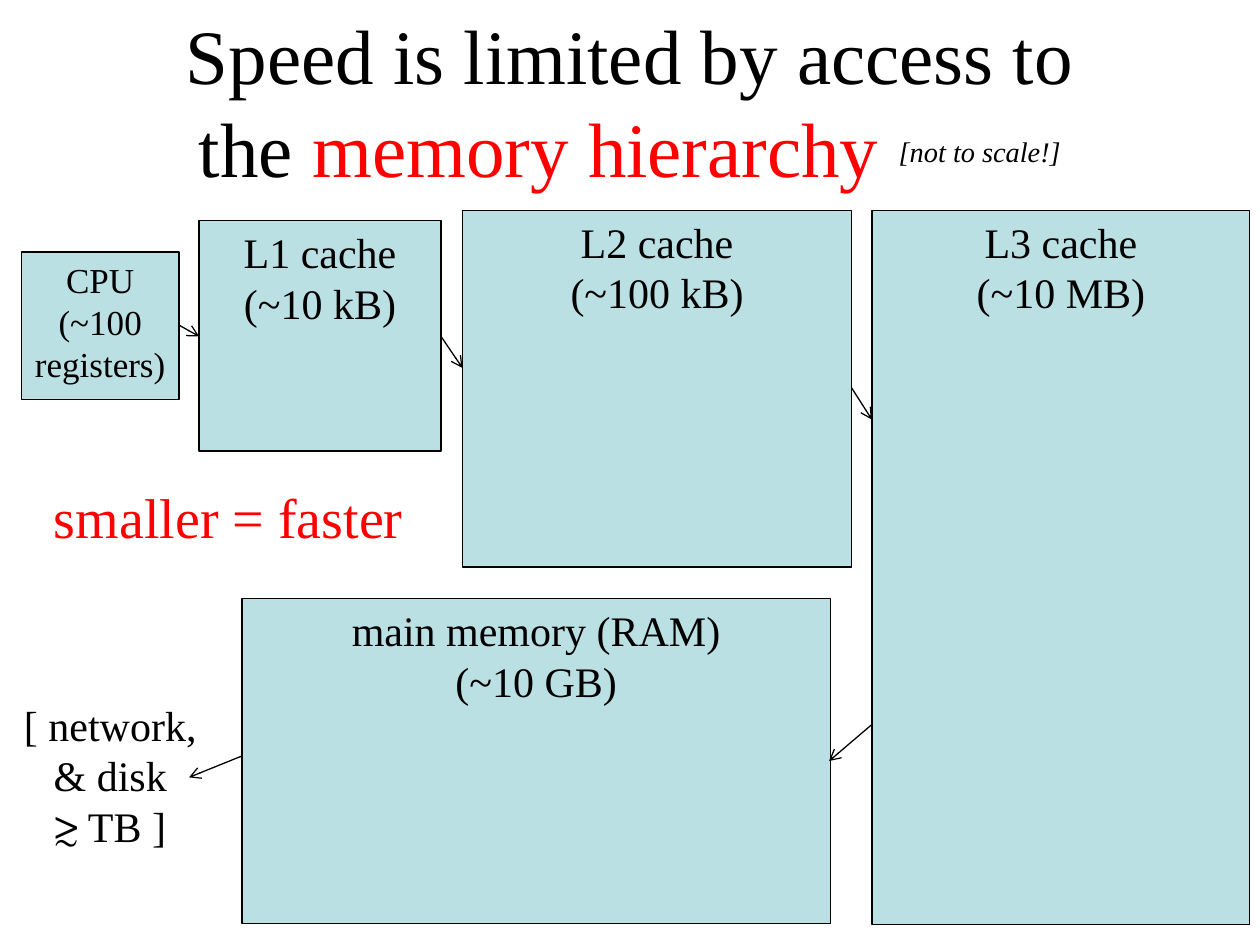
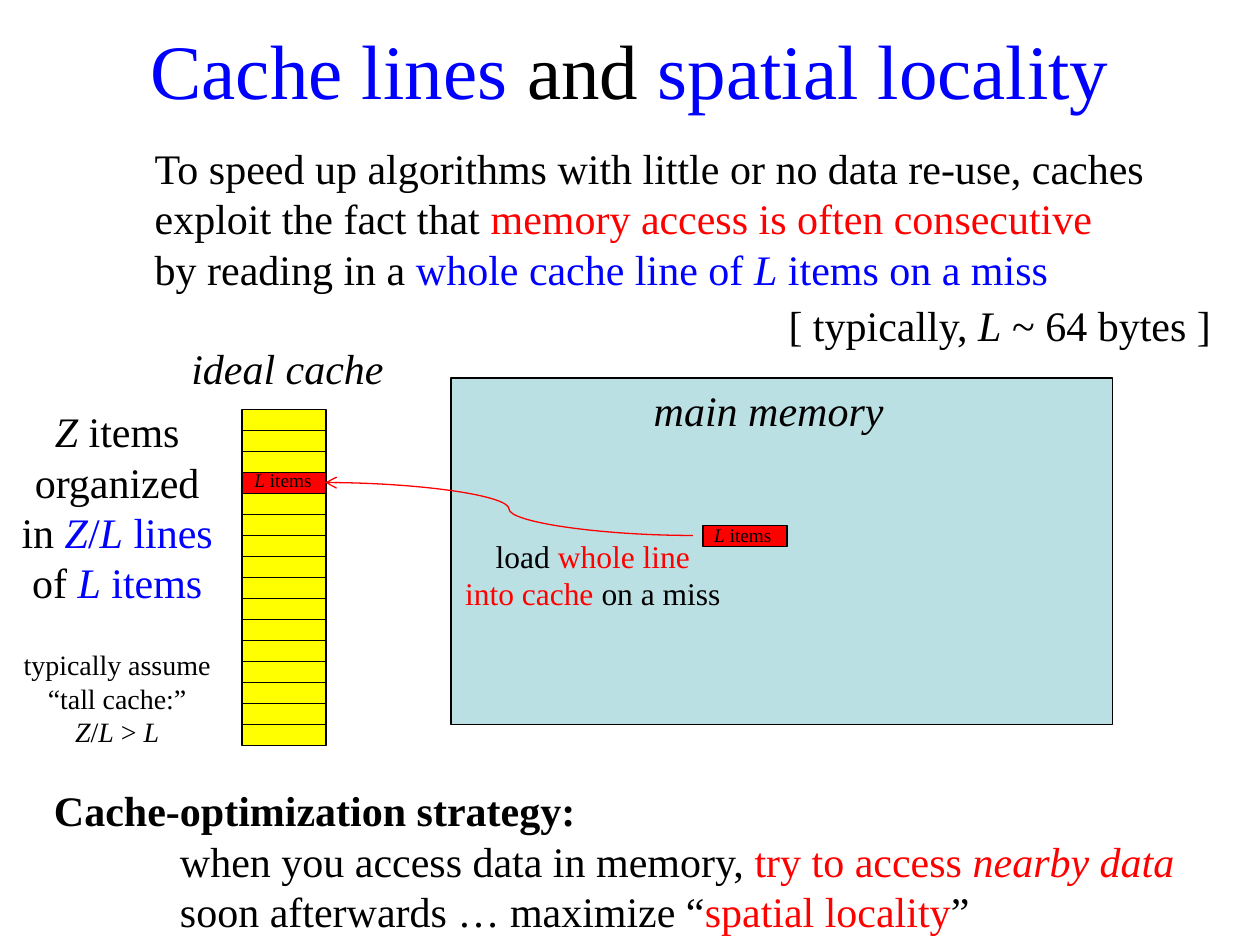
from dataclasses import dataclass

from lxml import etree
from pptx import Presentation
from pptx.dml.color import RGBColor
from pptx.enum.shapes import MSO_CONNECTOR as Link, MSO_SHAPE as Preset
from pptx.enum.text import MSO_ANCHOR as Anchor, MSO_AUTO_SIZE as Fit, PP_ALIGN as Align
from pptx.oxml.ns import qn
from pptx.util import Inches, Pt


@dataclass(frozen=True)
class Theme:
    font: str = "Times New Roman"
    black: RGBColor = RGBColor(0, 0, 0)
    red: RGBColor = RGBColor(255, 0, 0)
    blue: RGBColor = RGBColor(0, 0, 255)
    yellow: RGBColor = RGBColor(255, 255, 0)
    memory: RGBColor = RGBColor(0xBB, 0xE0, 0xE3)
    line: float = 0.75
    title: int = 44
    banner: int = 32
    aside: int = 28
    body: int = 24
    small: int = 20
    caption: int = 18
    note: int = 16
    tiny: int = 11


theme = Theme()


def write(frame, paragraphs, size=theme.body, align=Align.LEFT, wrap=True):
    """Fill a frame; a paragraph is a string or a list of (text, style words)."""
    frame.word_wrap = wrap
    for index, pieces in enumerate(paragraphs):
        paragraph = frame.paragraphs[0] if index == 0 else frame.add_paragraph()
        paragraph.alignment = align
        paragraph.font.name = theme.font
        paragraph.font.size = Pt(size)
        for text, style in [(pieces, "")] if isinstance(pieces, str) else pieces:
            if text == "\n":
                paragraph.add_line_break()
                continue
            run = paragraph.add_run()
            run.text = text
            words = style.split()
            colour = next((w for w in words if w in ("red", "blue")), "black")
            run.font.color.rgb = getattr(theme, colour)
            if "italic" in words:
                run.font.italic = True
            if "bold" in words:
                run.font.bold = True
            if "raised" in words:
                run.font.size = Pt(theme.aside)
                run.font._element.set("baseline", "30000")
            if "indented" in words:
                paragraph._p.get_or_add_pPr().set("marL", str(Inches(1)))


def draw(slide, kind, a, b, c, d, colour=theme.black):
    """Draw a filled shape (left, top, width, height) or an arrow (from, to)."""
    corners = [Inches(v) for v in (a, b, c, d)]
    if isinstance(kind, Preset):
        part = slide.shapes.add_shape(kind, *corners)
        part.shadow.inherit = False
        part.fill.solid()
        part.fill.fore_color.rgb = colour
        part.line.color.rgb = theme.black
        part.text_frame.vertical_anchor = Anchor.TOP
    else:
        part = slide.shapes.add_connector(kind, *corners)
        part.line.color.rgb = colour
        etree.SubElement(part.line._get_or_add_ln(), qn("a:tailEnd"), type="arrow")
        etree.SubElement(part._element.spPr, qn("a:effectLst"))
    part.line.width = Pt(theme.line)
    return part


deck = Presentation()
deck.slide_width, deck.slide_height = Inches(10), Inches(7.5)
blank = deck.slide_layouts[6]
hierarchy, locality = [deck.slides.add_slide(blank) for _ in range(2)]

# Titles
titles = [
    (hierarchy, 0.17, [("Speed is limited by access to", ""), ("\n", ""), ("the ", ""),
                       ("memory hierarchy ", "red"),
                       ("[not to scale!]", "italic raised")]),
    (locality, -0.08, [("Cache lines ", "blue"), ("and ", ""),
                       ("spatial locality", "blue")]),
]
for slide, top, pieces in titles:
    title = slide.shapes.add_textbox(Inches(0.75), Inches(top), Inches(8.5), Inches(1.25))
    title.text_frame.vertical_anchor = Anchor.MIDDLE
    write(title.text_frame, [pieces], theme.title, Align.CENTER)

# Hierarchy: memory levels
levels = [
    (0.17, 2, 1.25, 1.17, theme.small, "CPU", "(~100 registers)"),
    (1.58, 1.75, 1.92, 1.83, theme.body, "L1 cache", "(~10 kB)"),
    (3.67, 1.67, 3.09, 2.83, theme.body, "L2 cache", "(~100 kB)"),
    (6.92, 1.67, 3, 5.67, theme.body, "L3 cache", "(~10 MB)"),
    (1.92, 4.75, 4.67, 2.58, theme.body, "main memory (RAM)", "(~10 GB)"),
]
for left, top, width, height, size, name, capacity in levels:
    level = draw(hierarchy, Preset.RECTANGLE, left, top, width, height, theme.memory)
    write(level.text_frame, [name, capacity], size, Align.CENTER)

# Hierarchy: arrows from each level to the next
for ends in [(1.42, 2.58, 1.58, 2.67), (3.5, 2.67, 3.67, 2.92), (6.76, 3.08, 6.92, 3.33),
             (6.92, 5.75, 6.58, 6.04), (1.92, 6, 1.5, 6.17)]:
    draw(hierarchy, Link.STRAIGHT, *ends)

# Locality: main memory, cache lines and the loaded line
line_width, line_height, loaded_line = 2 / 3, 1 / 6, 3
draw(locality, Preset.RECTANGLE, 3.58, 3, 5.25, 2.75, theme.memory)
for row in range(16):
    draw(locality, Preset.RECTANGLE, 1.92, 3.25 + row * line_height, line_width, line_height,
         theme.red if row == loaded_line else theme.yellow)
draw(locality, Preset.RECTANGLE, 5.58, 4.17, line_width, line_height, theme.red)
draw(locality, Link.CURVE, 5.5, 4.25, 2.58, 3.83, theme.red)

# Texts: slide, left, top, width, height, size, alignment, wrap, paragraphs
line_label = [[("L", "italic"), (" items", "")]]
texts = [
    (hierarchy, 0, 5.5, 1.75, 1.31, theme.body, Align.CENTER, True,
     ["[ network,", "& disk", "\u2273 TB ]"]),
    (hierarchy, 0.33, 3.78, 3.01, 0.64, theme.banner, Align.LEFT, False,
     [[("smaller = faster", "red")]]),
    (locality, 1.13, 1.08, 8.13, 1.31, theme.body, Align.LEFT, False,
     ["To speed up algorithms with little or no data re-use, caches",
      [("exploit the fact that ", ""), ("memory access is often consecutive", "red")],
      [("by reading in a ", ""), ("whole cache line of ", "blue"),
       ("L", "blue italic"), (" items on a miss", "blue")]]),
    (locality, 5.09, 3, 2.13, 0.5, theme.body, Align.LEFT, False,
     [[("main memory", "italic")]]),
    (locality, 1.42, 2.67, 1.83, 0.5, theme.body, Align.LEFT, False,
     [[("ideal cache", "italic")]]),
    (locality, 0.04, 3.17, 1.78, 1.72, theme.body, Align.CENTER, False,
     [[("\u0396 ", "italic"), ("items", "")],
      "organized",
      [("in ", ""), ("Z", "blue italic"), ("/", "blue"), ("L", "blue italic"),
       (" lines", "blue")],
      [("of ", ""), ("L", "blue italic"), (" items", "blue")]]),
    (locality, 1.92, 3.67, 0.67, 0.29, theme.tiny, Align.LEFT, False, line_label),
    (locality, 5.57, 4.1, 0.67, 0.29, theme.tiny, Align.LEFT, False, line_label),
    (locality, 3.58, 4.21, 2.25, 0.71, theme.caption, Align.CENTER, False,
     [[("load ", ""), ("whole line", "red")],
      [("into cache ", "red"), ("on a miss", "")]]),
    (locality, 0.08, 5.09, 1.7, 0.91, theme.note, Align.CENTER, False,
     ["typically assume",
      [("\u201ctall cache:\u201d", ""), ("\n", ""), ("Z", "italic"), ("/", ""),
       ("L", "italic"), (" > ", ""), ("L", "italic")]]),
    (locality, 0.33, 6.18, 9.41, 1.31, theme.body, Align.LEFT, True,
     [[("Cache-optimization strategy:", "bold")],
      [("when you access data in memory, ", "indented"), ("try to access ", "red"),
       ("nearby data", "red italic")],
      [("soon afterwards \u2026\u00a0maximize \u201c", "indented"),
       ("spatial locality", "red"), ("\u201d", "")]]),
    (locality, 6.16, 2.33, 3.59, 0.5, theme.body, Align.LEFT, False,
     [[("[ typically, ", ""), ("L", "italic"), (" ~ 64 bytes ]", "")]]),
]
for slide, left, top, width, height, size, align, wrap, paragraphs in texts:
    label = slide.shapes.add_textbox(Inches(left), Inches(top), Inches(width), Inches(height))
    label.text_frame.auto_size = Fit.SHAPE_TO_FIT_TEXT
    write(label.text_frame, paragraphs, size, align, wrap)

deck.save("out.pptx")
